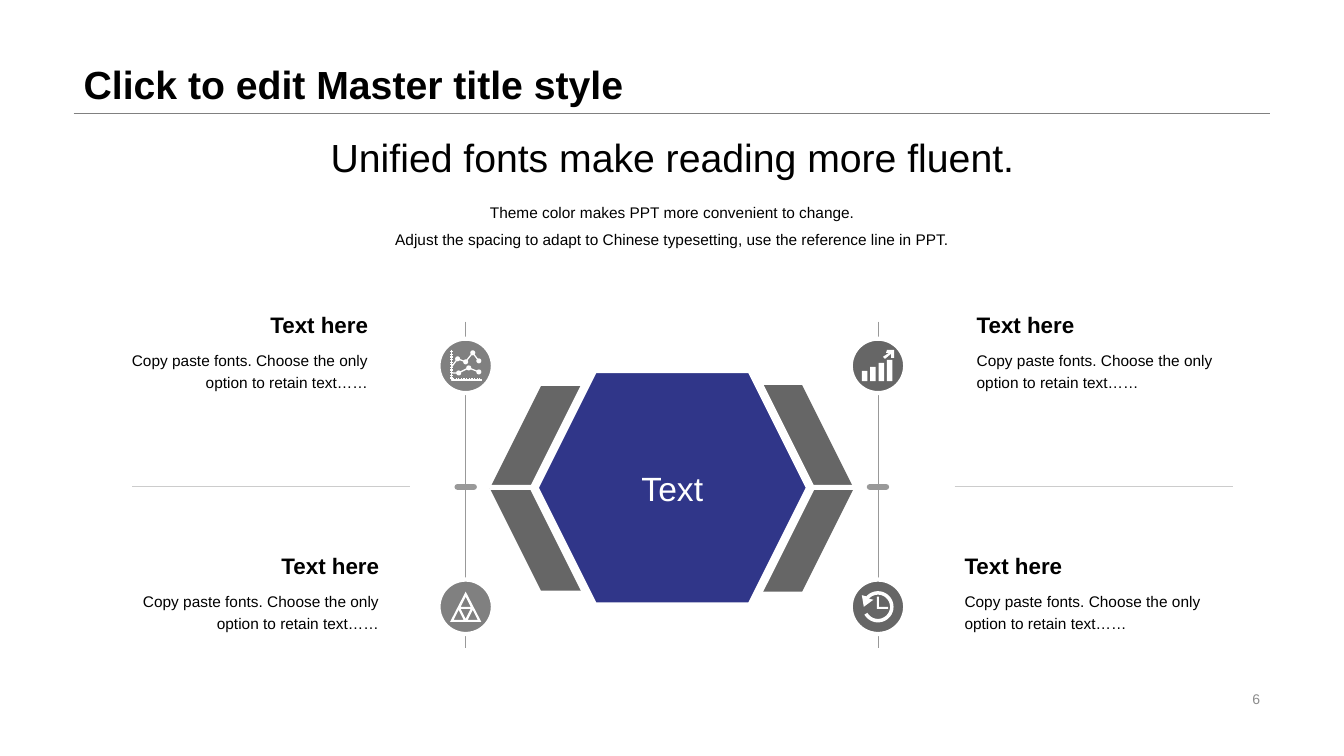
from math import cos, radians, sin

from lxml.etree import SubElement
from pptx import Presentation
from pptx.dml.color import RGBColor
from pptx.enum.shapes import MSO_CONNECTOR, MSO_SHAPE
from pptx.enum.text import MSO_ANCHOR, MSO_AUTO_SIZE, PP_ALIGN
from pptx.oxml.ns import qn
from pptx.util import Inches, Pt

COLORS = {"black": "000000", "white": "FFFFFF", "blue": "303689", "dark": "666666",
          "mid": "808080", "axis": "999999", "pale": "CCCCCC", "number": "8C8C8C"}
COLS, ROWS = 133.33, 75  # grid cells of 0.1 inch
ROW_STEP = 23.9          # from the upper items to the lower ones
ITEM_WIDTH = 28.2
LEFT, CENTER, RIGHT = PP_ALIGN.LEFT, PP_ALIGN.CENTER, PP_ALIGN.RIGHT


def cell(n):
    return Inches(n / 10)


def color(name):
    return RGBColor.from_string(COLORS[name])


class Deck:
    def __init__(self, font="Arial"):
        self.font = font
        self.prs = Presentation()
        self.prs.slide_width, self.prs.slide_height = cell(COLS), cell(ROWS)
        self.s = self.prs.slides.add_slide(self.prs.slide_layouts[5])

    def label(self, sp, text, size, ink="black", bold=False, align=LEFT,
              anchor=MSO_ANCHOR.TOP, spacing=None):
        tf = sp.text_frame
        tf.text = text
        tf.word_wrap = True
        tf.auto_size = MSO_AUTO_SIZE.NONE
        tf.vertical_anchor = anchor
        for p in tf.paragraphs:
            p.alignment = align
            p.line_spacing = spacing
            for r in p.runs:
                r.font.name, r.font.size, r.font.bold = self.font, Pt(size), bold
                r.font.color.rgb = color(ink)

    def title(self, text, x, y, w, h):
        sp = self.s.shapes.title
        sp.left, sp.top, sp.width, sp.height = map(cell, (x, y, w, h))
        self.label(sp, text, 28, bold=True, anchor=MSO_ANCHOR.BOTTOM, spacing=0.9)

    def text(self, text, x, y, w, h, size, **style):
        self.label(self.s.shapes.add_textbox(*map(cell, (x, y, w, h))), text, size, **style)

    def line(self, x1, y1, x2, y2, ink, weight, rounded=False):
        c = self.s.shapes.add_connector(MSO_CONNECTOR.STRAIGHT, *map(cell, (x1, y1, x2, y2)))
        c.line.color.rgb, c.line.width = color(ink), Pt(weight)
        if rounded:
            c._element.spPr.find(qn("a:ln")).set("cap", "rnd")
        SubElement(c._element.spPr, qn("a:effectLst"))

    def paint(self, sp, fill, outline=None, weight=1):
        sp.shadow.inherit = False
        if fill:
            sp.fill.solid()
            sp.fill.fore_color.rgb = color(fill)
        else:
            sp.fill.background()
        if outline:
            sp.line.color.rgb, sp.line.width = color(outline), Pt(weight)
        else:
            sp.line.fill.background()

    def shape(self, kind, x, y, w, h, fill, outline=None, weight=1):
        sp = self.s.shapes.add_shape(kind, *map(cell, (x, y, w, h)))
        self.paint(sp, fill, outline, weight)
        return sp

    def dot(self, cx, cy, d, fill, outline=None, weight=1):
        self.shape(MSO_SHAPE.OVAL, cx - d / 2, cy - d / 2, d, d, fill, outline, weight)

    def outline(self, cx, cy, contours, stroke=None):
        """Filled contours around a centre, or open strokes when a weight is given."""
        placed = [[(cell(cx + x), cell(cy + y)) for x, y in c] for c in contours]
        fb = self.s.shapes.build_freeform(*placed[0][0])
        for i, points in enumerate(placed):
            if i:
                fb.move_to(*points[0])
            fb.add_line_segments(points[1:], close=stroke is None)
        sp = fb.convert_to_shape()
        if stroke:
            self.paint(sp, None, "white", stroke)
        else:
            self.paint(sp, "white")


# Icons, each drawn around its centre
def line_chart_icon(deck, cx, cy):
    series = [[(-1.4, 0.1), (-0.8, -0.7), (0, -0.4), (0.7, -1.3), (1.3, -0.5)],
              [(-1.4, 0.7), (-0.7, 0.7), (0.3, 0.2), (1.3, 0.6)]]
    axes = [(-1.4, -1.6), (-1.4, 1.4), (1.6, 1.4)]
    steps = [0.26 * k for k in range(11)]
    ticks = [[(-1.55, d - 1.4), (-1.25, d - 1.4)] for d in steps]
    ticks += [[(d - 1.2, 1.25), (d - 1.2, 1.55)] for d in steps]
    deck.outline(cx, cy, [axes, *series, *ticks], stroke=0.9)
    for points in series:
        for x, y in points[1:]:
            deck.dot(cx + x, cy + y, 0.5, "white")


def bar_chart_icon(deck, cx, cy):
    bars = []
    for k, top in enumerate((0.5, 0.1, -0.3, -0.6)):
        x = -1.6 + 0.83 * k
        bars.append([(x, top), (x + 0.55, top), (x + 0.55, 1.5), (x, 1.5)])
    arrow = [(0.9, -1.6), (1.6, -1.6), (1.6, -0.8), (1.3, -0.8), (1.3, -1.2),
             (0.7, -0.7), (0.5, -0.9), (1.1, -1.3), (0.8, -1.3)]
    deck.outline(cx, cy, [*bars, arrow])


def triangle_icon(deck, cx, cy):
    deck.outline(cx, cy, [[(0, -1.5), (-1.55, 1.5), (1.55, 1.5)],
                          [(0, -1), (0.5, 0), (-0.5, 0)],
                          [(-1.2, 1.3), (-0.7, 0.3), (-0.2, 1.3)],
                          [(-0.5, 0.2), (0.5, 0.2), (0, 1.2)],
                          [(0.7, 0.3), (1.2, 1.3), (0.2, 1.3)]])


def clock_icon(deck, cx, cy):
    def arc(radius):
        return [(radius * cos(radians(a)), radius * sin(radians(a)))
                for a in range(150, -139, -6)]

    arrow = [(-1.6, -1.15), (-1.4, 0), (-0.45, -0.7)]
    hands = [(-0.1, -1), (0.1, -1), (0.1, 0), (1, 0), (1, 0.2), (-0.1, 0.2)]
    deck.outline(cx, cy, [arc(1.55) + arrow + arc(1.2)[::-1], hands])


def main():
    deck = Deck()

    # Title, rule and page number
    deck.line(7.3, 11.2, 126, 11.2, "mid", 0.25)
    deck.title("Click to edit Master title style", 7.3, 0, 118.7, 11.2)
    deck.text("6", 94.2, 68.2, 31.8, 2.3, 10, ink="number", align=RIGHT,
              anchor=MSO_ANCHOR.MIDDLE)

    # Introduction
    deck.text("Unified fonts make reading more fluent.", 7.4, 12.4, 118.6, 6.4, 28,
              align=CENTER, anchor=MSO_ANCHOR.MIDDLE)
    deck.text("Theme color makes PPT more convenient to change.\n"
              "Adjust the spacing to adapt to Chinese typesetting, "
              "use the reference line in PPT.",
              7.4, 18.7, 118.6, 6.5, 11, align=CENTER, spacing=1.5)

    # Hexagons
    deck.shape(MSO_SHAPE.HEXAGON, 60.9, 38.2, 23.8, 20.5, "dark")
    deck.shape(MSO_SHAPE.HEXAGON, 48.6, 38.3, 23.6, 20.3, "dark")
    deck.shape(MSO_SHAPE.RECTANGLE, 48.6, 48.1, 36.2, 0.5, "white")
    core = deck.shape(MSO_SHAPE.HEXAGON, 53, 36.6, 27.4, 23.6, "blue", "white", 6)
    deck.label(core, "Text", 24, ink="white", align=CENTER, anchor=MSO_ANCHOR.MIDDLE)

    # Both sides: axis, divider, and two items with icons
    sides = [(46.2, 13.1, "mid", RIGHT, (9.3, 10.4), (line_chart_icon, triangle_icon)),
             (87.1, 94.7, "dark", LEFT, (95.9, 94.7), (bar_chart_icon, clock_icon))]
    for axis, divider, fill, align, lefts, icons in sides:
        deck.line(axis, 31.9, axis, 64.3, "axis", 0.5)
        deck.line(axis - 0.8, 48.3, axis + 0.8, 48.3, "axis", 4.5, rounded=True)
        deck.line(divider, 48.3, divider + 27.6, 48.3, "pale", 0.5)
        for row, (x, icon) in enumerate(zip(lefts, icons)):
            y = ROW_STEP * row
            deck.dot(axis, 36.3 + y, 5.4, fill, "white", 3)
            icon(deck, axis, 36.3 + y)
            deck.text("Text here", x, 30.5 + y, ITEM_WIDTH, 3.5, 16, bold=True,
                      align=align, anchor=MSO_ANCHOR.BOTTOM)
            deck.text("Copy paste fonts. Choose the only option to retain text……",
                      x, 34 + y, ITEM_WIDTH, 7.9, 11, align=align, spacing=1.2)

    deck.prs.save("out.pptx")


if __name__ == "__main__":
    main()
